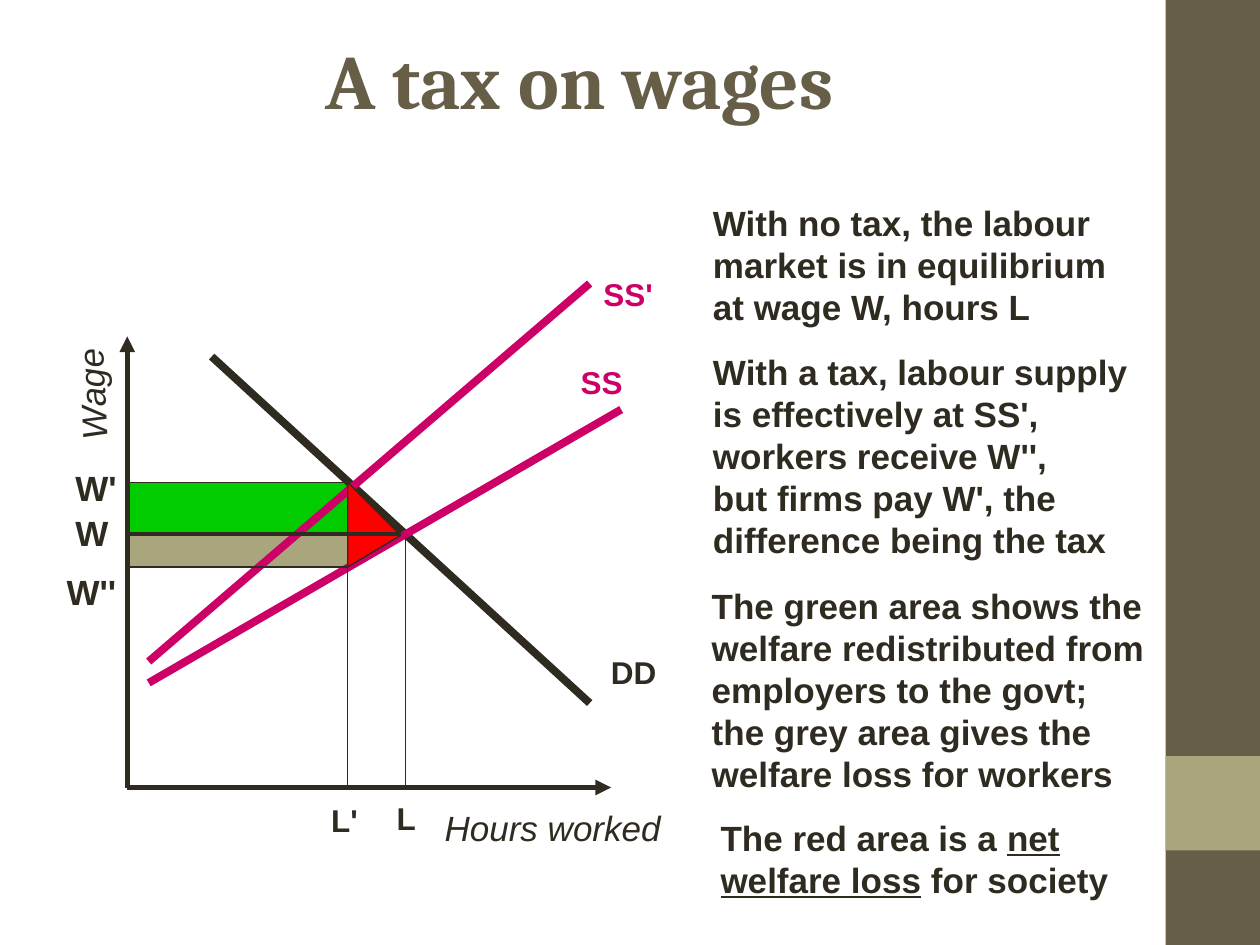
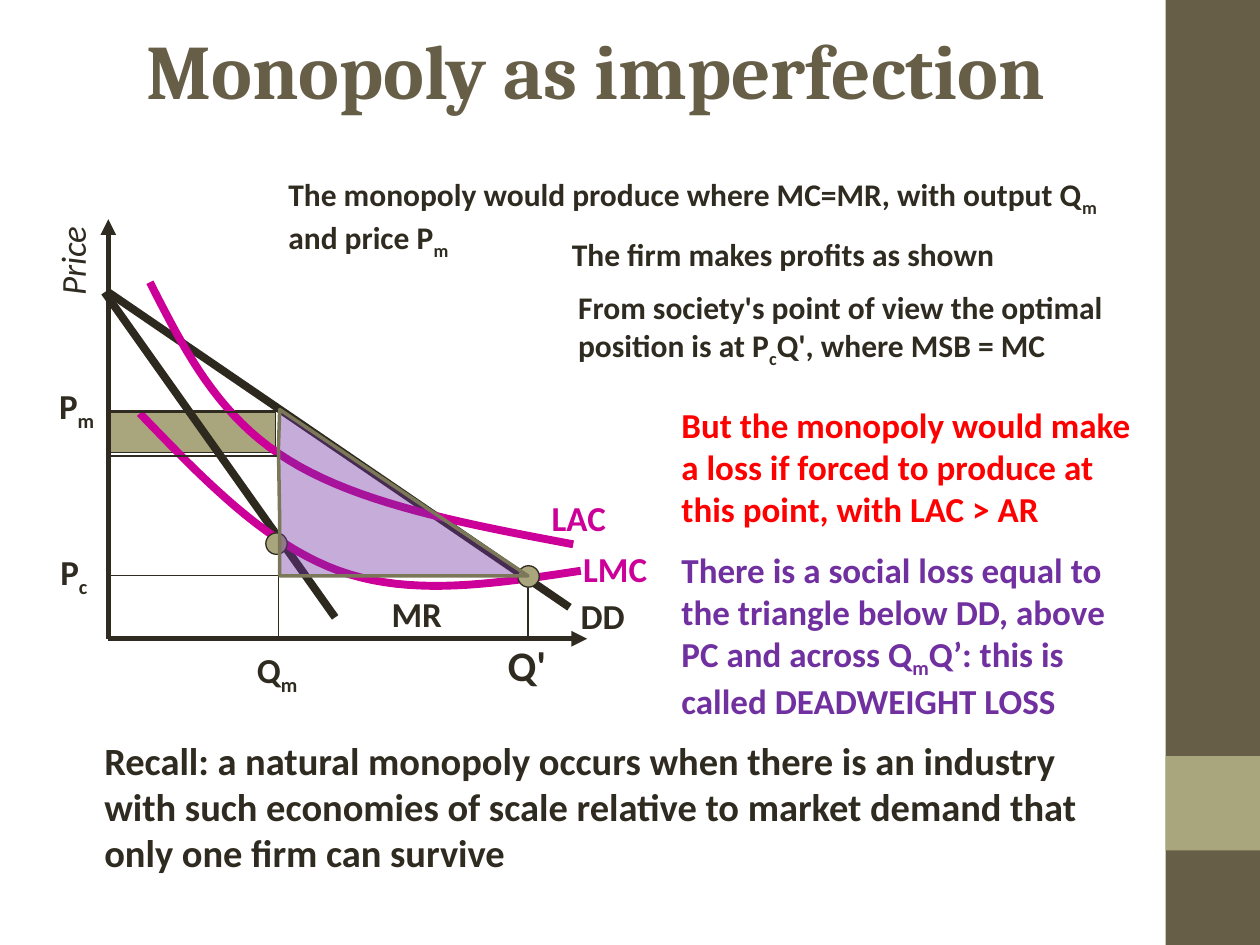
from dataclasses import dataclass
from typing import NamedTuple

from lxml.etree import SubElement
from pptx import Presentation
from pptx.dml.color import RGBColor
from pptx.enum.shapes import MSO_CONNECTOR, MSO_SHAPE
from pptx.enum.text import MSO_ANCHOR, MSO_AUTO_SIZE, PP_ALIGN
from pptx.oxml.ns import qn
from pptx.util import Inches, Pt

COLORS = {
    "ink": "2F2B20", "demand": "2D291E", "brown": "675E47", "sand": "A9A57C",
    "green": "00CC00", "red": "FF0000", "pink": "CC0066", "magenta": "CC0099",
    "purple": "7030A0", "olive": "7B7859",
}
THIN, AXIS, CURVE = 0.75, 3, 4.5


class Run(NamedTuple):
    text: str
    sub: bool = False
    underline: bool = False


SUB_M, SUB_C = Run("m", sub=True), Run("c", sub=True)


@dataclass
class Label:
    """Text box; each paragraph is a string or a tuple of runs."""
    left: float
    top: float
    width: float
    height: float
    paragraphs: list
    size: int = 20
    color: str = "ink"
    prose: bool = False
    italic: bool = False
    rotation: float = 0


@dataclass
class Line:
    start: tuple
    end: tuple
    width: float = THIN
    color: str = "ink"
    arrow: bool = False


@dataclass
class Area:
    """Preset shape with a fill and a thin outline."""
    left: float
    top: float
    width: float
    height: float
    color: str = "sand"
    kind: MSO_SHAPE = MSO_SHAPE.RECTANGLE


def rgb(name: str) -> RGBColor:
    return RGBColor.from_string(COLORS[name])


def set_line(shape, color: str, width: float) -> None:
    shape.line.color.rgb = rgb(color)
    shape.line.width = Pt(width)


# Drawing functions
def add_area(slide, area: Area, outlined: bool = True):
    sp = slide.shapes.add_shape(area.kind, Inches(area.left), Inches(area.top),
                                Inches(area.width), Inches(area.height))
    sp.shadow.inherit = False
    sp.fill.solid()
    sp.fill.fore_color.rgb = rgb(area.color)
    if outlined:
        set_line(sp, "ink", THIN)
    else:
        sp.line.fill.background()
    return sp


def add_line(slide, line: Line) -> None:
    ends = [Inches(v) for v in (*line.start, *line.end)]
    c = slide.shapes.add_connector(MSO_CONNECTOR.STRAIGHT, *ends)
    set_line(c, line.color, line.width)
    sp_pr = c.element.spPr
    if line.arrow:
        SubElement(sp_pr.find(qn("a:ln")), qn("a:tailEnd"), type="triangle")
    SubElement(sp_pr, qn("a:effectLst"))


def add_path(slide, points: list, color: str, width: float, fill: str = "",
             opacity: int = 100) -> None:
    pts = [(Inches(x), Inches(y)) for x, y in points]
    builder = slide.shapes.build_freeform(*pts[0])
    builder.add_line_segments(pts[1:], close=bool(fill))
    sp = builder.convert_to_shape()
    sp.shadow.inherit = False
    set_line(sp, color, width)
    if not fill:
        sp.fill.background()
        return
    sp.fill.solid()
    sp.fill.fore_color.rgb = rgb(fill)
    if opacity < 100:
        color_el = sp.element.spPr.find(qn("a:solidFill"))[0]
        SubElement(color_el, qn("a:alpha"), val=str(opacity * 1000))


def bezier(points: list, steps: int = 20) -> list:
    """Sample a chain of cubic curves that share their end points."""
    samples = [points[0]]
    for i in range(0, len(points) - 1, 3):
        a, b, c, d = points[i:i + 4]
        for n in range(1, steps + 1):
            t = n / steps
            u = 1 - t
            samples.append(tuple(
                u**3 * a[k] + 3 * u * u * t * b[k] + 3 * u * t * t * c[k] + t**3 * d[k]
                for k in (0, 1)))
    return samples


def add_label(slide, label: Label, font: str) -> None:
    sp = slide.shapes.add_textbox(Inches(label.left), Inches(label.top),
                                  Inches(label.width), Inches(label.height))
    sp.rotation = label.rotation
    tf = sp.text_frame
    tf.word_wrap = True
    tf.auto_size = MSO_AUTO_SIZE.SHAPE_TO_FIT_TEXT
    # Tight labels use the right inset as spare room, so they stay on one line
    tf.margin_right = Inches(0.1 if label.prose else 0)
    for i, paragraph in enumerate(label.paragraphs):
        p = tf.add_paragraph() if i else tf.paragraphs[0]
        if font == "Arial":
            p.line_spacing = Pt(1.2 * label.size)
        for run in (Run(paragraph),) if isinstance(paragraph, str) else paragraph:
            r = p.add_run()
            r.text = run.text
            r.font.name = font
            r.font.size = Pt(label.size)
            r.font.bold = not label.italic
            r.font.italic = label.italic
            r.font.color.rgb = rgb(label.color)
            if run.underline:
                r.font.underline = True
            if run.sub:
                r._r.get_or_add_rPr().set("baseline", "-25000")


def set_title(slide, text: str, left: float, top: float, width: float) -> None:
    title = slide.shapes.title
    title.left, title.top = Inches(left), Inches(top)
    title.width, title.height = Inches(width), Inches(1.21)
    tf = title.text_frame
    tf.word_wrap = True
    tf.auto_size = MSO_AUTO_SIZE.NONE
    tf.vertical_anchor = MSO_ANCHOR.TOP
    p = tf.paragraphs[0]
    p.alignment = PP_ALIGN.CENTER
    r = p.add_run()
    r.text = text
    r.font.name = "Cambria"
    r.font.size = Pt(44)
    r.font.bold = True
    r.font.color.rgb = rgb("brown")


def add_side_band(slide, layout) -> None:
    """Draw the side band and move it to the shared layout."""
    for band in (Area(9.25, 0, 0.75, 7.5, "brown"), Area(9.25, 6, 0.75, 0.75)):
        layout.shapes.element.append(add_area(slide, band, outlined=False).element)


def build_wage_tax(slide) -> None:
    set_title(slide, "A tax on wages", 0.35, 0.21, 8.5)
    x0, y0 = 1.01, 6.25
    hours_taxed, hours = 2.76, 3.22
    wage_paid, wage, wage_received = 3.83, 4.25, 4.5

    # Redistributed and lost welfare
    for top, bottom, color in ((wage_paid, wage, "green"), (wage, wage_received, "sand")):
        add_area(slide, Area(x0, top, hours_taxed - x0, bottom - top, color))

    # Axes, demand, supply and guides
    for line in (
        Line((x0, y0), (4.85, y0), AXIS, arrow=True),
        Line((x0, y0), (x0, 2.67), AXIS, arrow=True),
        Line((1.68, 2.83), (4.68, 5.58), CURVE),
        Line((1.18, 5.42), (4.93, 3.25), CURVE, "pink"),
        Line((hours, wage), (hours, y0)),
        Line((hours_taxed, wage_paid), (hours_taxed, y0)),
        Line((1.18, 5.25), (4.68, 2.25), CURVE, "pink"),
        Line((hours_taxed, wage_paid), (x0, wage_paid)),
        Line((hours_taxed, wage_received), (x0, wage_received)),
    ):
        add_line(slide, line)

    # Net loss and equilibrium wage
    add_path(slide, [(hours_taxed, wage_paid), (hours_taxed, wage_received), (3.18, wage)],
             "ink", THIN, "red")
    add_line(slide, Line((3.18, 4.24), (x0, 4.24), 2.25))

    # Labels and explanation
    for label in (
        Label(3.43, 6.35, 1.91, 0.44, ["Hours worked"], italic=True),
        Label(0.27, 2.91, 0.92, 0.44, ["Wage"], italic=True, rotation=267.3),
        Label(3.05, 6.29, 0.35, 0.4, ["L"], 18),
        Label(2.53, 6.31, 0.41, 0.4, ["L'"], 18),
        Label(0.5, 4.01, 0.46, 0.44, ["W"]),
        Label(0.5, 3.65, 0.53, 0.44, ["W'"]),
        Label(0.43, 4.48, 0.59, 0.44, ["W''"]),
        Label(4.75, 5.13, 0.56, 0.4, ["DD"], 18),
        Label(4.51, 2.83, 0.53, 0.4, ["SS"], 18, "pink"),
        Label(4.69, 2.13, 0.59, 0.4, ["SS'"], 18, "pink"),
        Label(5.56, 1.55, 3.4, 1.1, ["With no tax, the labour", "market is in equilibrium",
                                     "at wage W, hours L"]),
        Label(5.56, 2.73, 3.49, 1.77, ["With a tax, labour supply", "is effectively at SS',",
                                       "workers receive W'',", "but firms pay W', the",
                                       "difference being the tax"]),
        Label(5.55, 4.59, 3.65, 1.77, [
            "The green area shows the welfare redistributed from employers to the govt; "
            "the grey area gives the welfare loss for workers"], prose=True),
        Label(5.62, 6.43, 3.45, 0.77, [
            (Run("The red area is a "), Run("net welfare loss", underline=True),
             Run(" for society"))], prose=True),
    ):
        add_label(slide, label, "Arial")


def build_monopoly(slide) -> None:
    set_title(slide, "Monopoly as imperfection", -0.35, 0.13, 10.16)
    x0, y0 = 0.86, 5.07
    q_m, q_c = 2.21, 4.19
    p_m, p_c = 3.27, 4.57

    # Profit, axes, demand and marginal revenue
    add_area(slide, Area(x0, 3.26, 1.33, 0.33))
    for line in (
        Line((x0, y0), (4.66, y0), AXIS, arrow=True),
        Line((x0, y0), (x0, 1.74), AXIS, arrow=True),
        Line((x0, 2.32), (4.52, 4.82), CURVE, "demand"),
        Line((0.83, 2.32), (2.66, 4.9), CURVE, "demand"),
    ):
        add_line(slide, line)

    # Average and marginal cost
    for controls in (
        [(1.19, 2.24), (1.46, 2.77), (1.73, 3.31), (2.29, 3.65),
         (2.85, 4), (3.7, 4.16), (4.55, 4.32)],
        [(1.11, 3.28), (1.61, 3.8), (2.11, 4.32), (2.69, 4.53),
         (3.27, 4.74), (3.94, 4.63), (4.61, 4.53)],
    ):
        add_path(slide, bezier(controls), "magenta", CURVE)

    # Guides, crossing points and deadweight loss
    for start, end in (((q_m, 3.62), (x0, 3.62)), ((q_m, 3.25), (q_m, y0)),
                       ((2.19, p_m), (x0, p_m)), ((q_c, p_c), (q_c, y0)),
                       ((q_c, p_c), (x0, p_c))):
        add_line(slide, Line(start, end))
    for left, top in ((2.11, 4.23), (4.11, 4.49)):
        add_area(slide, Area(left, top, 0.17, 0.17, kind=MSO_SHAPE.OVAL))
    add_path(slide, [(2.22, 3.25), (2.21, 3.55), (2.22, 4.13), (2.22, p_c), (q_c, p_c)],
             "olive", 2, "purple", opacity=40)

    # Labels and explanation
    for label in (
        Label(0.2, 1.85, 0.75, 0.44, ["Price"], italic=True, rotation=270),
        Label(4.51, 4.67, 0.55, 0.44, ["DD"]),
        Label(3.01, 4.65, 0.6, 0.44, ["MR"]),
        Label(4.53, 4.3, 0.71, 0.44, ["LMC"], color="magenta"),
        Label(4.28, 3.89, 0.63, 0.44, ["LAC"], color="magenta"),
        Label(1.94, 5.1, 0.52, 0.48, [(Run("Q"), SUB_M)]),
        Label(0.37, 3, 0.48, 0.48, [(Run("P"), SUB_M)]),
        Label(0.38, 4.32, 0.41, 0.48, [(Run("P"), SUB_C)]),
        Label(3.93, 5.03, 0.5, 0.5, ["Q'"], 24),
        Label(2.19, 1.34, 6.98, 0.78, [
            (Run("The monopoly would produce where MC=MR, with output Q"), SUB_M,
             Run(" and price P"), SUB_M)], 18, prose=True),
        Label(4.44, 1.82, 4.25, 0.4, ["The firm makes profits as shown"], 18, prose=True),
        Label(4.49, 2.24, 4.53, 0.74, [
            (Run("From society's point of view the optimal position is at P"), SUB_C,
             Run("Q', where MSB = MC"))], 18, prose=True),
        Label(5.31, 3.15, 3.77, 1.1, ["But the monopoly would make",
                                      "a loss if forced to produce at",
                                      "this point, with LAC > AR"], color="red"),
        Label(5.31, 4.3, 3.79, 1.48, [
            (Run("There is a social loss equal to the triangle below DD, above PC "
                 "and across Q"), SUB_M, Run("Q’: this is called DEADWEIGHT LOSS"))],
              color="purple", prose=True),
        Label(0.73, 5.8, 8.3, 1.2, [
            "Recall: a natural monopoly occurs when there is an industry with such economies "
            "of scale relative to market demand that only one firm can survive"],
              22, prose=True),
    ):
        add_label(slide, label, "Calibri")


def main() -> None:
    prs = Presentation()
    prs.slide_width, prs.slide_height = Inches(10), Inches(7.5)
    layout = prs.slide_layouts[5]
    slides = [prs.slides.add_slide(layout) for _ in range(2)]
    add_side_band(slides[0], layout)
    build_wage_tax(slides[0])
    build_monopoly(slides[1])
    prs.save("out.pptx")


if __name__ == "__main__":
    main()
